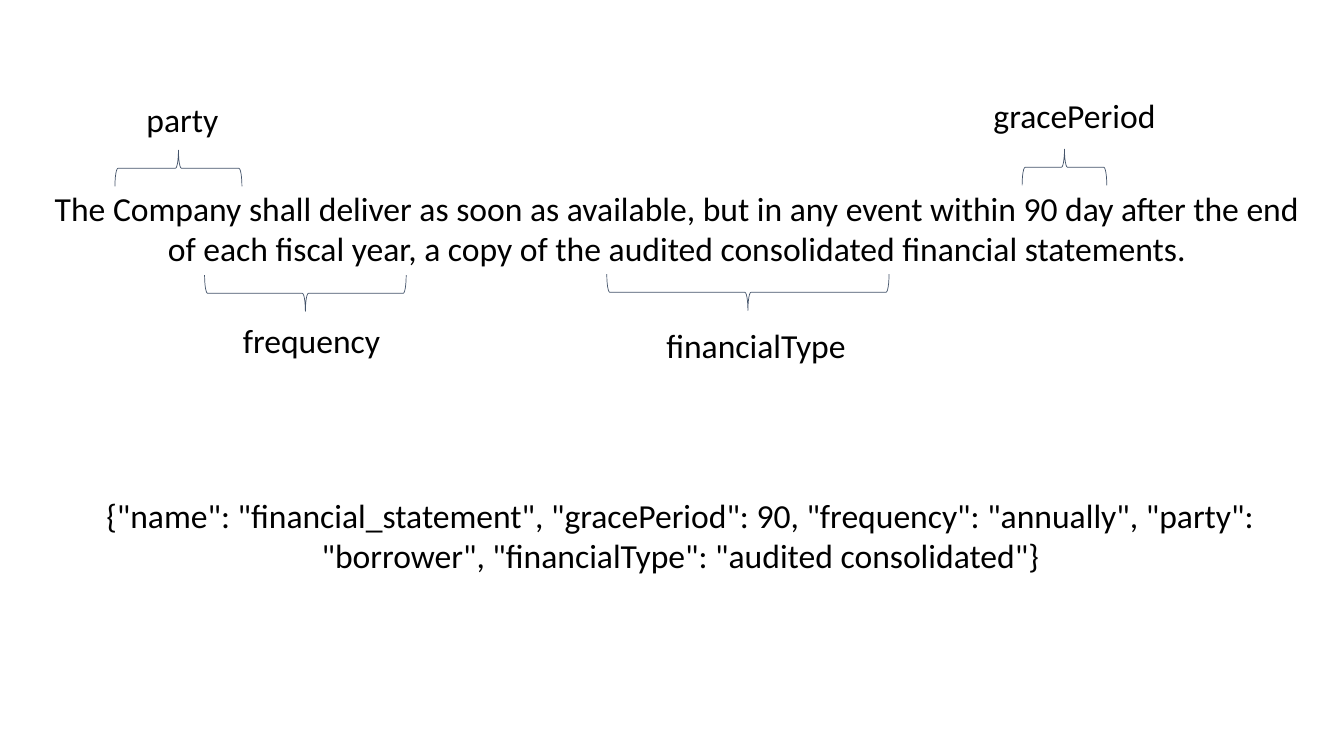
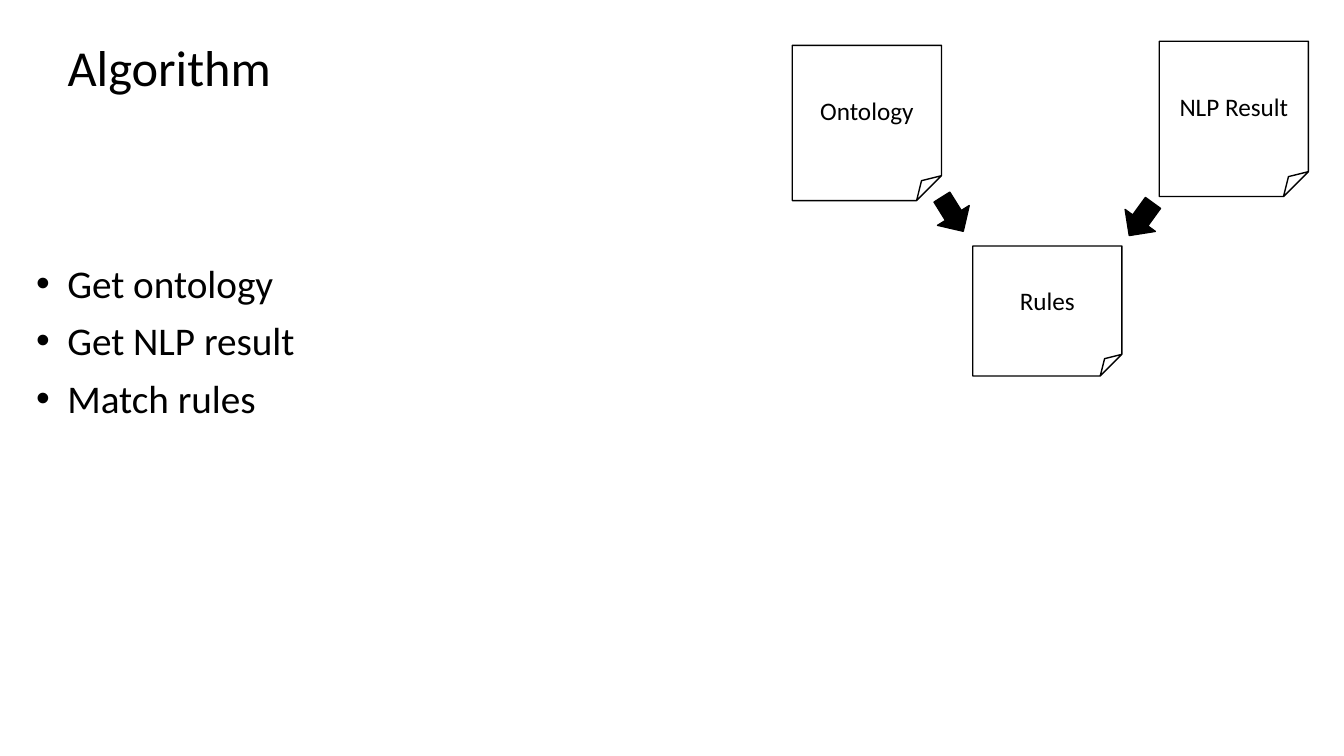
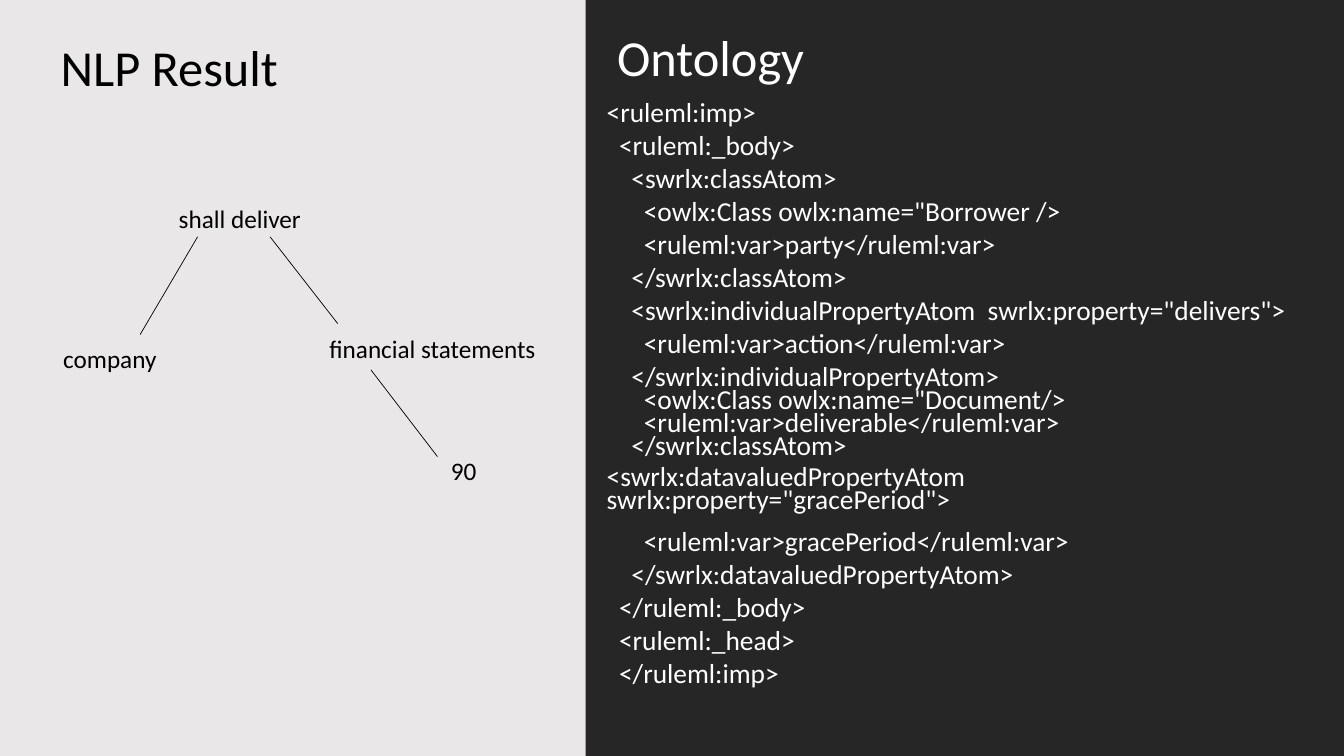
from dataclasses import dataclass

from lxml.etree import SubElement
from pptx import Presentation
from pptx.dml.color import RGBColor
from pptx.enum.shapes import MSO_CONNECTOR, MSO_SHAPE
from pptx.enum.text import MSO_ANCHOR, PP_ALIGN
from pptx.oxml.ns import qn
from pptx.shapes.autoshape import Shape
from pptx.slide import Slide
from pptx.text.text import _Paragraph as Paragraph
from pptx.util import Emu, Inches, Pt

CELL = Inches(0.1)  # square grid: 133.33 columns by 75 rows
SLIDE_COLUMNS, SLIDE_ROWS = 133.33, 75
FONT = "Calibri"
BLACK, WHITE = "000000", "FFFFFF"
SLATE, CHARCOAL, PALE = "44546A", "262626", "E9E7E7"
LABEL_COLUMNS = 30
TITLE_SIZE, LIST_SIZE, SENTENCE_SIZE, NODE_SIZE = 36, 28, 24, 18
CODE_SIZE = 19.6
BRACE_DEPTH = 3.6
WIDE_PITCH, TIGHT_PITCH = 23.6, 16.4


@dataclass(frozen=True)
class Frame:
    """A rectangle in grid columns and rows."""
    column: float
    row: float
    columns: float
    rows: float


@dataclass(frozen=True)
class Label:
    """One centred line of text."""
    text: str
    centre: float
    row: float
    size: float = NODE_SIZE
    colour: str = BLACK


@dataclass(frozen=True)
class Brace:
    """A brace over or under a phrase, by its centre point."""
    centre: float
    middle: float
    span: float
    rotation: int


@dataclass(frozen=True)
class Note:
    text: str
    frame: Frame


@dataclass(frozen=True)
class Arrow:
    column: float
    row: float
    rotation: int


@dataclass(frozen=True)
class Branch:
    """A tree edge between two grid points."""
    start: tuple[float, float]
    end: tuple[float, float]


@dataclass(frozen=True)
class CodeLine:
    text: str
    pitch: float = WIDE_PITCH
    gap_after: float = 0


SENTENCES = [
    Note("The Company shall deliver as soon as available, but in any event within 90 day "
         "after the end of each fiscal year, a copy of the audited consolidated financial "
         "statements.", Frame(4.1, 18.1, 126.1, 13.1)),
    Note('{"name": "financial_statement", "gracePeriod": 90, "frequency": "annually", '
         '"party": "borrower", "financialType": "audited consolidated"}',
         Frame(8.5, 48.6, 118, 9.1)),
]
BRACES = [
    Brace(17.7, 16.7, 12.6, 90),
    Brace(105.6, 16.6, 8.4, 90),
    Brace(30.3, 29.1, 20, 270),
    Brace(74.2, 29, 28, 270),
]
TAGS = [
    Label("party", 18.1, 9.3, SENTENCE_SIZE),
    Label("gracePeriod", 106.6, 8.9, SENTENCE_SIZE),
    Label("frequency", 30.9, 31.2, SENTENCE_SIZE),
    Label("financialType", 75, 31.7, SENTENCE_SIZE),
]

STEPS = ["Get ontology", "Get NLP result", "Match rules"]
NOTES = [
    Note("Ontology", Frame(78.6, 4.5, 14.8, 15.4)),
    Note("NLP Result", Frame(115, 4.1, 14.8, 15.4)),
    Note("Rules", Frame(96.5, 24.4, 14.8, 12.9)),
]
ARROWS = [Arrow(92.5, 19.4, 58), Arrow(111.2, 19.9, 126)]

NODES = [
    Label("shall deliver", 23.8, 19.7),
    Label("financial statements", 42.9, 32.6),
    Label("90", 46, 44.7),
    Label("company", 10.9, 33.6),
]
BRANCHES = [
    Branch((19.6, 23.5), (13.9, 33.2)),
    Branch((26.8, 23.5), (33.5, 32.1)),
    Branch((36.8, 36.7), (43.4, 45.3)),
]
CODE = [
    CodeLine("<ruleml:imp>"),
    CodeLine("  <ruleml:_body>"),
    CodeLine("    <swrlx:classAtom>"),
    CodeLine('      <owlx:Class owlx:name="Borrower />'),
    CodeLine("      <ruleml:var>party</ruleml:var>"),
    CodeLine("    </swrlx:classAtom>"),
    CodeLine('    <swrlx:individualPropertyAtom  swrlx:property="delivers">'),
    CodeLine("      <ruleml:var>action</ruleml:var>"),
    CodeLine("    </swrlx:individualPropertyAtom>"),
    CodeLine('      <owlx:Class owlx:name="Document/>', TIGHT_PITCH),
    CodeLine("      <ruleml:var>deliverable</ruleml:var>", TIGHT_PITCH),
    CodeLine("    </swrlx:classAtom>", TIGHT_PITCH, 6),
    CodeLine("<swrlx:datavaluedPropertyAtom", TIGHT_PITCH),
    CodeLine('swrlx:property="gracePeriod">', TIGHT_PITCH, 6),
    CodeLine("      <ruleml:var>gracePeriod</ruleml:var>"),
    CodeLine("    </swrlx:datavaluedPropertyAtom>"),
    CodeLine("  </ruleml:_body>"),
    CodeLine("  <ruleml:_head>"),
    CodeLine("  </ruleml:imp>"),
]


def grid(cells: float) -> Emu:
    return Emu(round(cells * CELL))


def place(frame: Frame) -> tuple[Emu, Emu, Emu, Emu]:
    return grid(frame.column), grid(frame.row), grid(frame.columns), grid(frame.rows)


def colour_of(code: str) -> RGBColor:
    return RGBColor.from_string(code)


def add_page(deck: Presentation, background: str = WHITE) -> Slide:
    page = deck.slides.add_slide(deck.slide_layouts[6])
    page.background.fill.solid()
    page.background.fill.fore_color.rgb = colour_of(background)
    return page


def add_span(para: Paragraph, text: str, size: float, colour: str = BLACK) -> None:
    span = para.add_run()
    span.text = text
    span.font.name = FONT
    span.font.size = Pt(size)
    span.font.color.rgb = colour_of(colour)


def add_box(page: Slide, frame: Frame) -> Shape:
    box = page.shapes.add_textbox(*place(frame))
    box.text_frame.word_wrap = True
    return box


def paragraph_at(box: Shape, index: int) -> Paragraph:
    """Reuse the paragraph a new box starts with, then append."""
    return box.text_frame.add_paragraph() if index else box.text_frame.paragraphs[0]


def add_centred(page: Slide, text: str, frame: Frame, size: float, colour: str = BLACK) -> None:
    para = paragraph_at(add_box(page, frame), 0)
    para.alignment = PP_ALIGN.CENTER
    add_span(para, text, size, colour)


def add_label(page: Slide, label: Label) -> None:
    rows = label.size * 0.17 + 1
    frame = Frame(label.centre - LABEL_COLUMNS / 2, label.row, LABEL_COLUMNS, rows)
    add_centred(page, label.text, frame, label.size, label.colour)


def add_title(page: Slide, text: str, centre: float = 16.8, row: float = 3.1,
              colour: str = BLACK) -> None:
    add_label(page, Label(text, centre, row, TITLE_SIZE, colour))


def add_figure(page: Slide, kind: MSO_SHAPE, frame: Frame, fill: str | None = None,
               line: str | None = None, weight: float = 1, rotation: int = 0) -> Shape:
    shape = page.shapes.add_shape(kind, *place(frame))
    shape.shadow.inherit = False
    shape.rotation = rotation
    if fill:
        shape.fill.solid()
        shape.fill.fore_color.rgb = colour_of(fill)
    else:
        shape.fill.background()
    if line:
        shape.line.color.rgb = colour_of(line)
        shape.line.width = Pt(weight)
    else:
        shape.line.fill.background()
    return shape


def add_brace(page: Slide, brace: Brace) -> None:
    frame = Frame(brace.centre - BRACE_DEPTH / 2, brace.middle - brace.span / 2,
                  BRACE_DEPTH, brace.span)
    add_figure(page, MSO_SHAPE.LEFT_BRACE, frame, line=SLATE, weight=0.5,
               rotation=brace.rotation)


def add_note(page: Slide, note: Note) -> None:
    shape = add_figure(page, MSO_SHAPE.FOLDED_CORNER, note.frame, line=BLACK)
    shape.text_frame.word_wrap = True
    shape.text_frame.vertical_anchor = MSO_ANCHOR.MIDDLE
    para = paragraph_at(shape, 0)
    para.alignment = PP_ALIGN.CENTER
    add_span(para, note.text, NODE_SIZE)


def add_branch(page: Slide, branch: Branch) -> None:
    line = page.shapes.add_connector(MSO_CONNECTOR.STRAIGHT,
                                     *map(grid, branch.start + branch.end))
    line.line.color.rgb = colour_of(BLACK)
    line.line.width = Pt(0.5)
    SubElement(line.element.spPr, qn("a:effectLst"))


def add_bullets(page: Slide, items: list[str], frame: Frame) -> None:
    box = add_box(page, frame)
    indent = grid(3.1)
    for index, item in enumerate(items):
        para = paragraph_at(box, index)
        para.space_after = Pt(7.6)
        properties = para._p.get_or_add_pPr()
        properties.set("marL", str(indent))
        properties.set("indent", str(-indent))
        SubElement(properties, qn("a:buFont"), typeface="Arial")
        SubElement(properties, qn("a:buChar"), char="•")
        add_span(para, item, LIST_SIZE)


def add_code(page: Slide, lines: list[CodeLine], frame: Frame) -> None:
    box = add_box(page, frame)
    box.text_frame.margin_top = grid(4.3)
    for index, line in enumerate(lines):
        para = paragraph_at(box, index)
        para.line_spacing = Pt(line.pitch)
        para.space_after = Pt(line.gap_after)
        add_span(para, line.text, CODE_SIZE, WHITE)


def build_sentence_page(deck: Presentation) -> None:
    page = add_page(deck)
    for sentence in SENTENCES:
        add_centred(page, sentence.text, sentence.frame, SENTENCE_SIZE)
    for brace in BRACES:
        add_brace(page, brace)
    for tag in TAGS:
        add_label(page, tag)


def build_algorithm_page(deck: Presentation) -> None:
    page = add_page(deck)
    add_title(page, "Algorithm")
    add_bullets(page, STEPS, Frame(2.6, 25.2, 70, 17.3))
    for note in NOTES:
        add_note(page, note)
    for arrow in ARROWS:
        add_figure(page, MSO_SHAPE.RIGHT_ARROW, Frame(arrow.column, arrow.row, 4, 3.7),
                   fill=BLACK, line=BLACK, rotation=arrow.rotation)


def build_matching_page(deck: Presentation) -> None:
    page = add_page(deck, PALE)
    panel_column = 58.1
    add_figure(page, MSO_SHAPE.RECTANGLE,
               Frame(panel_column, 0, SLIDE_COLUMNS - panel_column, SLIDE_ROWS), fill=CHARCOAL)
    add_code(page, CODE, Frame(59.2, 5.1, 72.8, 65.2))
    add_title(page, "NLP Result")
    for node in NODES:
        add_label(page, node)
    for branch in BRANCHES:
        add_branch(page, branch)
    add_title(page, "Ontology", 70.5, 2.1, WHITE)


def main() -> None:
    deck = Presentation()
    deck.slide_width, deck.slide_height = grid(SLIDE_COLUMNS), grid(SLIDE_ROWS)
    build_sentence_page(deck)
    build_algorithm_page(deck)
    build_matching_page(deck)
    deck.save("out.pptx")


if __name__ == "__main__":
    main()
